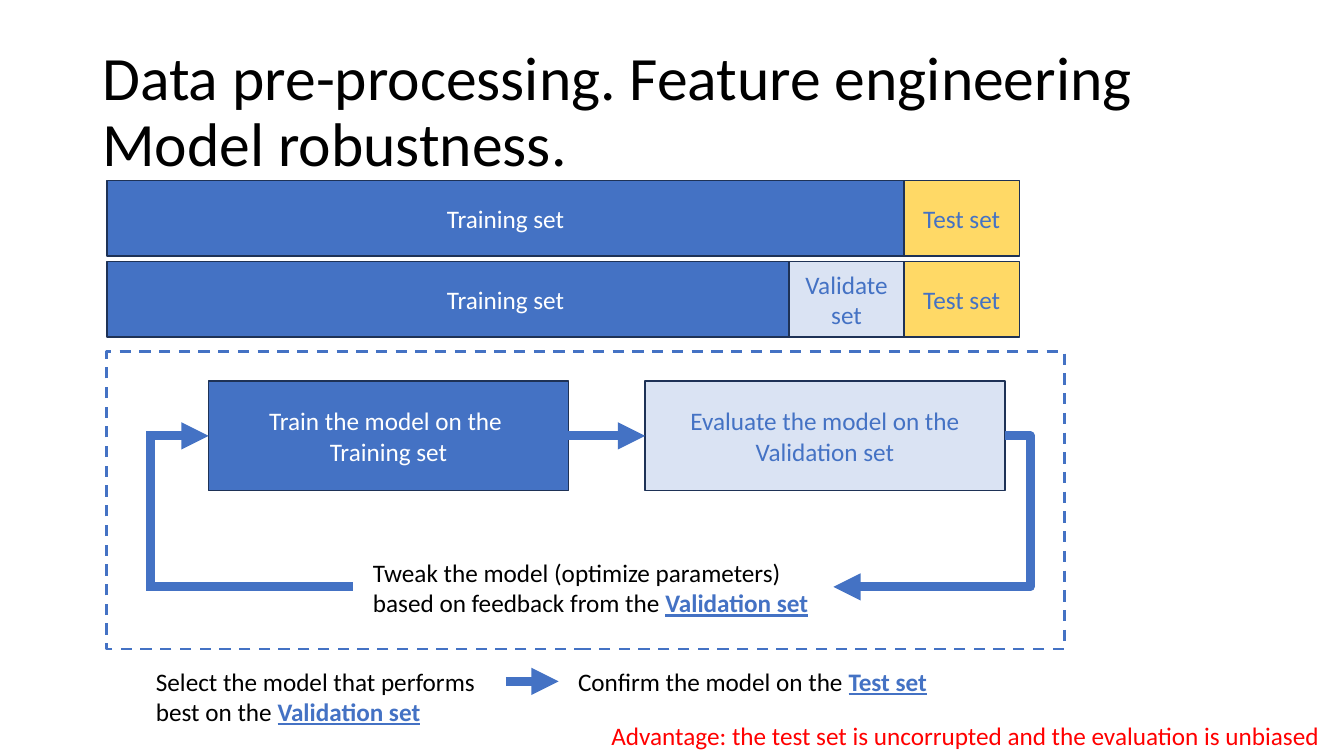
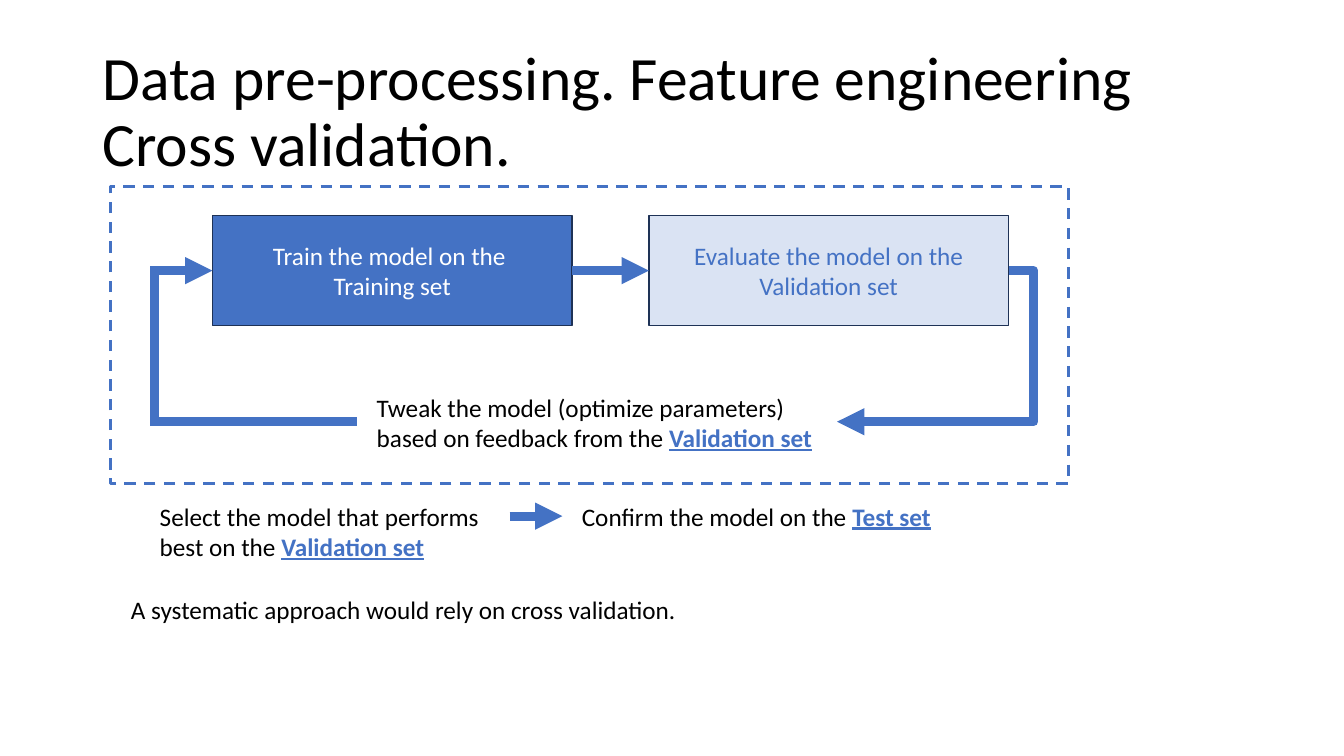
from lxml.etree import SubElement
from pptx import Presentation
from pptx.dml.color import RGBColor
from pptx.enum.dml import MSO_LINE
from pptx.enum.shapes import MSO_CONNECTOR, MSO_SHAPE
from pptx.enum.text import MSO_ANCHOR, PP_ALIGN
from pptx.oxml.ns import qn
from pptx.util import Pt

COLORS = {
    "blue": "4472C4",
    "pale": "DAE3F3",
    "yellow": "FFD966",
    "outline": "1E3256",
    "black": "000000",
    "white": "FFFFFF",
    "red": "FF0000",
}
FONT = "Calibri"
TOPIC = "Data pre-processing. Feature engineering"


def rgb(name):
    return RGBColor.from_string(COLORS[name])


def style_run(r, color, size=18):
    r.font.name = FONT
    r.font.size = Pt(size)
    r.font.color.rgb = rgb(color)


def add_text(s, x, y, w, h, text, key=None, color="black", wrap=True):
    """Place body text, optionally ending in an emphasised key term."""
    tf = s.shapes.add_textbox(Pt(x), Pt(y), Pt(w), Pt(h)).text_frame
    tf.word_wrap = wrap
    p = tf.paragraphs[0]
    p.text = text
    style_run(p.runs[0], color)
    if key:
        r = p.add_run()
        r.text = key
        style_run(r, "blue")
        r.font.bold = r.font.underline = True


def add_title(s, subtitle):
    tf = s.shapes.add_textbox(Pt(66), Pt(28.8), Pt(828), Pt(104.4)).text_frame
    tf.word_wrap = True
    tf.vertical_anchor = MSO_ANCHOR.MIDDLE
    p = tf.paragraphs[0]
    p.text = f"{TOPIC}\v{subtitle}"
    p.line_spacing = 0.9
    for r in p.runs:
        style_run(r, "black", 44)


def add_box(s, x, y, w, h, text, fill, color="blue"):
    sp = s.shapes.add_shape(MSO_SHAPE.RECTANGLE, Pt(x), Pt(y), Pt(w), Pt(h))
    sp.shadow.inherit = False
    sp.fill.solid()
    sp.fill.fore_color.rgb = rgb(fill)
    sp.line.color.rgb = rgb("outline")
    sp.line.width = Pt(1)
    tf = sp.text_frame
    tf.word_wrap = True
    tf.vertical_anchor = MSO_ANCHOR.MIDDLE
    tf.text = text
    for p in tf.paragraphs:
        p.alignment = PP_ALIGN.CENTER
        for r in p.runs:
            style_run(r, color)


def add_frame(s, x, y, w, h):
    sp = s.shapes.add_shape(MSO_SHAPE.RECTANGLE, Pt(x), Pt(y), Pt(w), Pt(h))
    sp.shadow.inherit = False
    sp.fill.background()
    sp.line.color.rgb = rgb("blue")
    sp.line.width = Pt(2)
    sp.line.dash_style = MSO_LINE.DASH


def add_line(s, x1, y1, x2, y2, arrow=True, bend=None):
    """Draw a thick line; bend is the elbow position as a share of the width."""
    kind = MSO_CONNECTOR.STRAIGHT if bend is None else MSO_CONNECTOR.ELBOW
    line = s.shapes.add_connector(kind, Pt(x1), Pt(y1), Pt(x2), Pt(y2))
    line.line.color.rgb = rgb("blue")
    line.line.width = Pt(6.5)
    props = line._element.spPr
    if bend is not None:
        guides = props.find(qn("a:prstGeom")).find(qn("a:avLst"))
        SubElement(guides, qn("a:gd"), name="adj1", fmla=f"val {round(bend * 100000)}")
    if arrow:
        SubElement(props.find(qn("a:ln")), qn("a:tailEnd"), type="triangle")
    SubElement(props, qn("a:effectLst"))


def add_split_bar(s, y, validate=False):
    """Show how the data is divided into sets."""
    left, train_w, part_w, h = 76.3, 569.5, 82.3, 54
    test_x = left + train_w
    add_box(s, left, y, train_w, h, "Training set", "blue", "white")
    add_box(s, test_x, y, part_w, h, "Test set", "yellow")
    if validate:
        add_box(s, test_x - part_w, y, part_w, h, "Validate set", "pale")


def add_tuning_loop(s, x, y):
    """Draw the train, evaluate and tweak cycle with its frame at x, y."""
    box_w, box_h = 257, 78.5
    train_x, evaluate_x, box_y = x + 72.7, x + 384.5, y + 20.9
    mid_y, tweak_y = box_y + box_h / 2, y + 168
    loop_x = x + 31.5
    corner_x = loop_x - 3.25

    add_box(s, train_x, box_y, box_w, box_h,
            "Train the model on the \nTraining set", "blue", "white")
    add_box(s, evaluate_x, box_y, box_w, box_h,
            "Evaluate the model on the\nValidation set", "pale")
    add_line(s, train_x + box_w, mid_y, evaluate_x, mid_y)
    add_line(s, evaluate_x + box_w, mid_y, x + 519, tweak_y, bend=-0.147)
    add_line(s, x + 175.7, tweak_y, corner_x, tweak_y, arrow=False)
    add_line(s, loop_x, tweak_y, loop_x, mid_y, arrow=False)
    add_line(s, corner_x, mid_y, train_x, mid_y)
    add_text(s, x + 183, y + 143.3, 336, 51,
             "Tweak the model (optimize parameters) based on feedback from the ",
             "Validation set")
    add_frame(s, x, y, 684, 212.4)


def add_selection(s, x, y):
    """Draw the select and confirm steps under the loop framed at x, y."""
    text_y, arrow_y = y + 221, y + 235.5
    add_text(s, x + 28, text_y, 265.7, 51,
             "Select the model that performs best on the ", "Validation set")
    add_text(s, x + 329.5, text_y, 265.7, 29,
             "Confirm the model on the ", "Test set")
    add_line(s, x + 285, arrow_y, x + 322.7, arrow_y)


def add_slide(prs, subtitle, loop_x, loop_y):
    s = prs.slides.add_slide(prs.slide_layouts[6])
    add_title(s, subtitle)
    add_tuning_loop(s, loop_x, loop_y)
    add_selection(s, loop_x, loop_y)
    return s


def main():
    prs = Presentation()
    prs.slide_width, prs.slide_height = Pt(960), Pt(540)

    s = add_slide(prs, "Model robustness.", 76.3, 251.2)
    add_split_bar(s, 129)
    add_split_bar(s, 186.7, validate=True)
    add_text(s, 429.6, 511, 530.4, 29,
             "Advantage: the test set is uncorrupted and the evaluation is unbiased",
             color="red", wrap=False)

    s = add_slide(prs, "Cross validation.", 79, 133.2)
    add_text(s, 86.4, 421.2, 408, 29,
             "A systematic approach would rely on cross validation.", wrap=False)

    prs.save("out.pptx")


if __name__ == "__main__":
    main()
